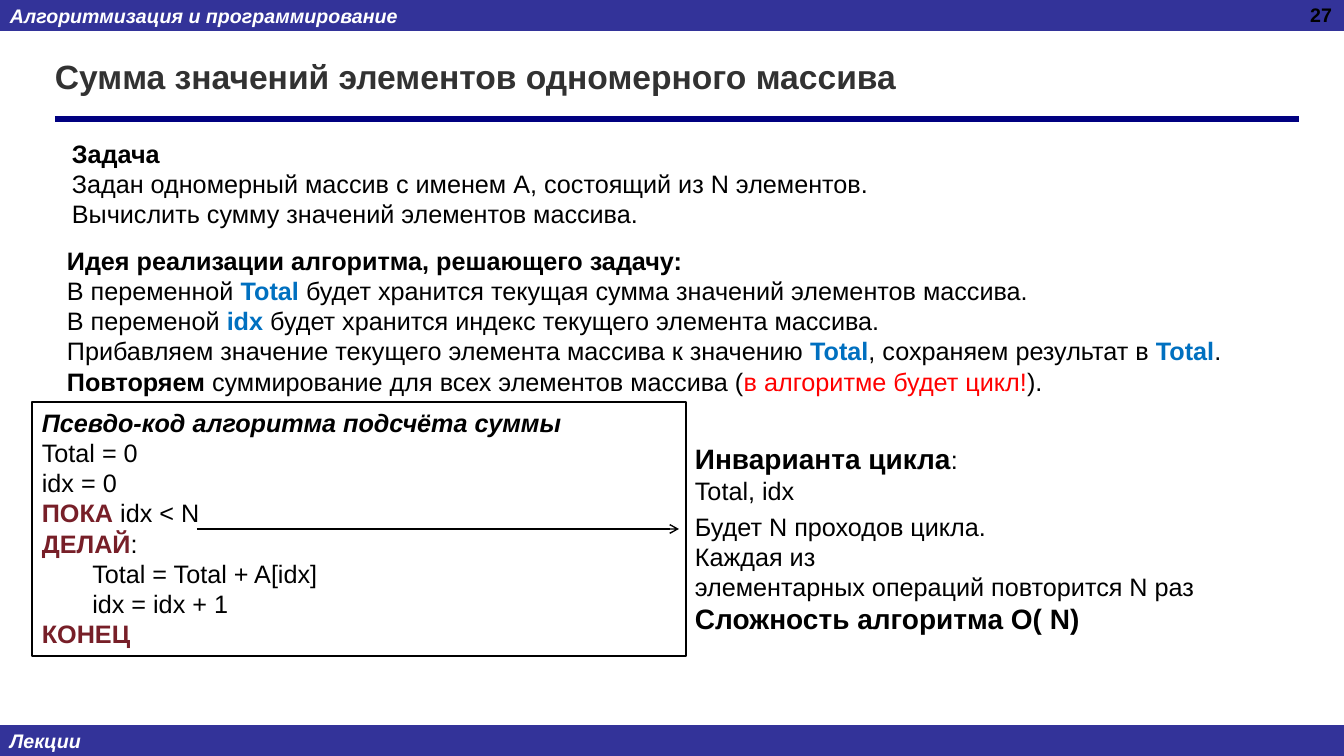
import pptx
import pptx.util
import pptx.dml.color
import pptx.enum.shapes
import pptx.enum.text
import pptx.oxml
import pptx.oxml.ns
from dataclasses import dataclass

W, H = 1344, 756
EMU_PER_PX = 914400 / 100.8
SHAPE = pptx.enum.shapes.MSO_SHAPE
ALIGN = pptx.enum.text.PP_ALIGN
ANCHOR = pptx.enum.text.MSO_ANCHOR


@dataclass(frozen=True)
class Theme:
    font: str = "Arial"
    band: str = "333399"
    rule: str = "000080"
    white: str = "FFFFFF"
    ink: str = "000000"
    title: str = "323232"
    variable: str = "0070C0"
    keyword: str = "771F28"
    alert: str = "FF0000"
    small: int = 14
    body: int = 18
    large: int = 20
    heading: int = 24


T = Theme()

# Run styles: size, colour, bold, italic
BAND = (T.small, T.white, True, True)
NUMBER = (T.small, T.ink, True, False)
TITLE = (T.heading, T.title, True, False)
PLAIN = (T.body, T.ink, False, False)
BOLD = (T.body, T.ink, True, False)
BOLD_ITALIC = (T.body, T.ink, True, True)
VARIABLE = (T.body, T.variable, True, False)
KEYWORD = (T.body, T.keyword, True, False)
ALERT = (T.body, T.alert, False, False)
LARGE = (T.large, T.ink, True, False)


def px(n):
    return round(n * EMU_PER_PX)


def rgb(value):
    return pptx.dml.color.RGBColor.from_string(value)


def write(sp, lines, anchor=ANCHOR.TOP, align=ALIGN.LEFT):
    """Each line is a list of (text, style) runs."""
    tf = sp.text_frame
    tf.word_wrap = True
    tf.vertical_anchor = anchor
    for i, runs in enumerate(lines):
        p = tf.paragraphs[0] if i == 0 else tf.add_paragraph()
        p.alignment = align
        for text, (size, color, bold, italic) in runs:
            r = p.add_run()
            r.text = text
            r.font.name = T.font
            r.font.size = pptx.util.Pt(size)
            r.font.bold = bold
            r.font.italic = italic
            r.font.color.rgb = rgb(color)


def add_text(s, box, lines, **options):
    sp = s.shapes.add_textbox(*map(px, box))
    write(sp, lines, **options)


def add_rect(s, box, fill, lines, outline=None, **options):
    sp = s.shapes.add_shape(SHAPE.RECTANGLE, *map(px, box))
    sp.shadow.inherit = False
    sp.fill.solid()
    sp.fill.fore_color.rgb = rgb(fill)
    if outline:
        sp.line.color.rgb = rgb(outline)
        sp.line.width = pptx.util.Pt(2)
    else:
        sp.line.fill.background()
    write(sp, lines, **options)


def add_line(s, x1, x2, y, color, width, arrow=False):
    line = s.shapes.add_connector(
        pptx.enum.shapes.MSO_CONNECTOR.STRAIGHT, px(x1), px(y), px(x2), px(y))
    line.line.color.rgb = rgb(color)
    line.line.width = pptx.util.Pt(width)
    if arrow:
        ln = line.line._get_or_add_ln()
        pptx.oxml.ns.qn("a:tailEnd")
        ln.append(pptx.oxml.parse_xml(
            '<a:tailEnd %s type="arrow"/>' % pptx.oxml.ns.nsdecls("a")))
    line._element.spPr.append(pptx.oxml.parse_xml(
        "<a:effectLst %s/>" % pptx.oxml.ns.nsdecls("a")))


def bands(s, box):
    """Header and footer bands with the page number."""
    x, y, w, h = box
    band_h = 31
    for top, text in ((y, "Алгоритмизация и программирование"),
                      (y + h - band_h, "Лекции")):
        add_rect(s, (x, top, w, band_h), T.band, [[(text, BAND)]],
                 anchor=ANCHOR.MIDDLE)
    add_text(s, (x + w - 315, y - 2, 313, 52), [[("27", NUMBER)]],
             align=ALIGN.RIGHT)


def heading(s, box):
    """Title with the rule along its bottom edge."""
    x, y, w, h = box
    add_line(s, x + 10, x + w + 23, y + h, T.rule, 4.5)
    add_text(s, box, [[("Сумма значений элементов одномерного массива", TITLE)]],
             anchor=ANCHOR.MIDDLE)


def problem(s, box):
    """Task statement and the idea of the solution."""
    x, y, w, h = box
    add_text(s, (x + 5, y, w, 102), [
        [("Задача", BOLD)],
        [("Задан одномерный массив с именем А, состоящий из N элементов.", PLAIN)],
        [("Вычислить сумму значений элементов массива.", PLAIN)],
    ])
    add_text(s, (x, y + 107, w, h - 107), [
        [("Идея реализации алгоритма, решающего задачу:", BOLD)],
        [("В переменной ", PLAIN), ("Total ", VARIABLE),
         ("будет хранится текущая сумма значений элементов массива.", PLAIN)],
        [("В переменой ", PLAIN), ("idx ", VARIABLE),
         ("будет хранится индекс текущего элемента массива.", PLAIN)],
        [("Прибавляем значение текущего элемента массива к значению ", PLAIN),
         ("Total", VARIABLE), (", сохраняем результат в ", PLAIN),
         ("Total", VARIABLE), (".", PLAIN)],
        [("Повторяем", BOLD), (" суммирование для всех элементов массива (", PLAIN),
         ("в алгоритме будет цикл!", ALERT), (").", PLAIN)],
    ])


def pseudocode(s, box):
    """Framed pseudocode with an arrow from the loop condition."""
    x, y, w, h = box
    add_rect(s, box, T.white, [
        [("Псевдо-код алгоритма подсчёта суммы", BOLD_ITALIC)],
        [("Total = 0", PLAIN)],
        [("idx = 0", PLAIN)],
        [("ПОКА ", KEYWORD), ("idx < N", PLAIN)],
        [("ДЕЛАЙ", KEYWORD), (":", PLAIN)],
        [("\tTotal = Total + A[idx]", PLAIN)],
        [("\tidx = idx + 1", PLAIN)],
        [("КОНЕЦ", KEYWORD)],
    ], outline=T.ink)
    add_line(s, x + 165, x + w - 7, y + 127, T.ink, 1, arrow=True)


def analysis(s, box):
    """Loop invariant and complexity."""
    x, y, w, h = box
    add_text(s, (x, y, w, 75), [
        [("Инварианта цикла", LARGE), (": ", PLAIN)],
        [("Total, idx", PLAIN)],
    ])
    add_text(s, (x, y + 69, w, h - 69), [
        [("Будет N проходов цикла.", PLAIN)],
        [("Каждая из", PLAIN)],
        [("элементарных операций повторится N раз", PLAIN)],
        [("Сложность алгоритма O( N)", LARGE)],
    ])


prs = pptx.Presentation()
prs.slide_width, prs.slide_height = px(W), px(H)
s = prs.slides.add_slide(prs.slide_layouts[6])
bands(s, (0, 0, W, H))
heading(s, (45, 33, 1231, 86))
problem(s, (57, 133, 1246, 270))
pseudocode(s, (32, 402, 654, 254))
analysis(s, (685, 437, 643, 205))
prs.save("out.pptx")
